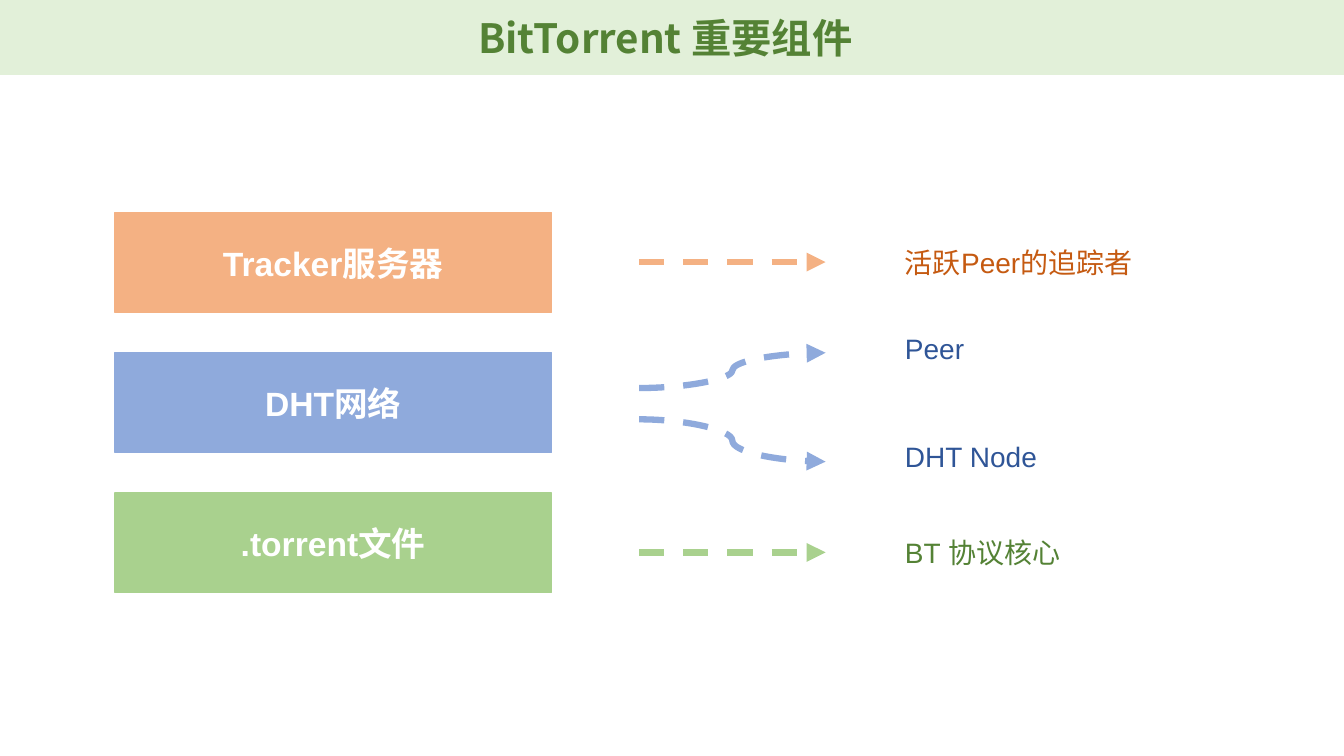
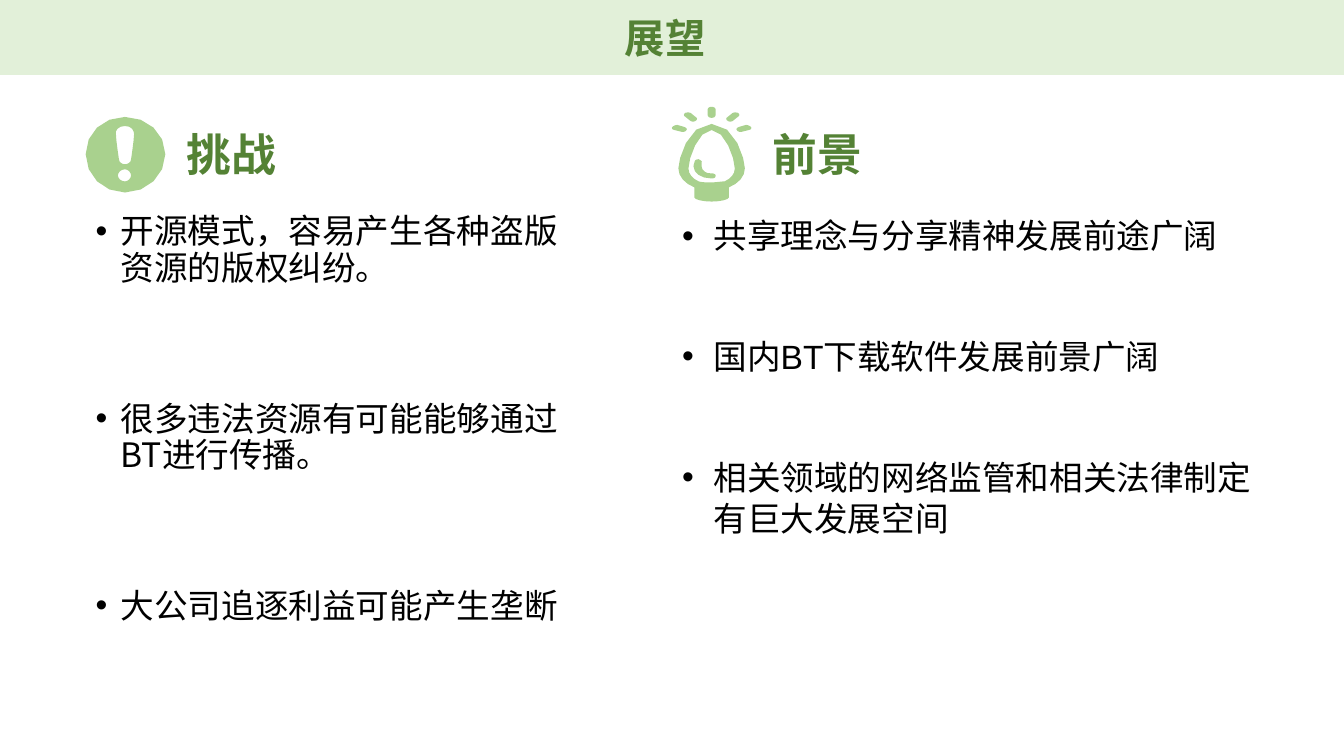
from dataclasses import dataclass

import pptx
import pptx.dml.color
import pptx.enum.dml
import pptx.enum.shapes
import pptx.enum.text
import pptx.oxml.ns
import pptx.presentation
import pptx.shapes.autoshape
import pptx.shapes.connector
import pptx.slide
import pptx.text.text
import pptx.util
from lxml import etree

RGB = pptx.dml.color.RGBColor
Inches = pptx.util.Inches
Pt = pptx.util.Pt
SHAPE = pptx.enum.shapes.MSO_SHAPE
CONNECTOR = pptx.enum.shapes.MSO_CONNECTOR
ALIGN = pptx.enum.text.PP_ALIGN
ANCHOR = pptx.enum.text.MSO_ANCHOR
qn = pptx.oxml.ns.qn

PALE_GREEN = RGB(0xE2, 0xF0, 0xD9)
GREEN = RGB(0xA9, 0xD1, 0x8E)
DARK_GREEN = RGB(0x54, 0x82, 0x35)
BLUE = RGB(0x8F, 0xAA, 0xDC)
DARK_BLUE = RGB(0x2F, 0x55, 0x97)
ORANGE = RGB(0xF4, 0xB1, 0x83)
DARK_ORANGE = RGB(0xC5, 0x5A, 0x11)
WHITE = RGB(0xFF, 0xFF, 0xFF)
BLACK = RGB(0, 0, 0)

LATIN = "Arial"
CHINESE = "Noto Sans CJK SC"

SLIDE_W, SLIDE_H = 40 / 3, 7.5
MARGIN = 0.85
BAND_H, BAND_EDGE_Y = 0.72, 0.71

# Component rows: box column, arrow column, label column
BOX_X, BOX_W, BOX_H = 1.14, 4.33, 0.99
FIRST_BOX_Y, ROW_PITCH = 2.11, 1.39
ARROW_X, ARROW_END_X = 6.34, 8.19
LABEL_X, LABEL_W, LABEL_H = 8.88, 3.9, 0.44

# Outlook columns
HEADING_Y, HEADING_DX = 1.2, 0.9
POINTS_Y = 2.08
ICON_UNIT = 0.01
CURVE_STEPS = 4

Point = tuple[float, float]
Segment = list[Point]  # one point: a line; three points: a cubic curve


@dataclass(frozen=True)
class Role:
    text: str
    arrow_start: float
    arrow_end: float
    label_middle: float


@dataclass(frozen=True)
class Component:
    name: str
    fill: RGB
    label_color: RGB
    roles: list[Role]


@dataclass(frozen=True)
class Outline:
    start: Point
    segments: list[Segment]


@dataclass(frozen=True)
class Outlook:
    heading: str
    left: float
    width: float
    font: str
    indent: float
    line_pitch: float
    gap: float
    icon_top: float
    icon: list[Outline]
    points: list[str]


def mirror(outline: Outline, axis: float) -> Outline:
    """Reflect an outline in a vertical axis."""
    x, y = outline.start
    return Outline((2 * axis - x, y), [
        [(2 * axis - px, py) for px, py in segment] for segment in outline.segments])


COMPONENTS = [
    Component("Tracker服务器", ORANGE, DARK_ORANGE,
              [Role("活跃Peer的追踪者", 2.6, 2.6, 2.6)]),
    Component("DHT网络", BLUE, DARK_BLUE,
              [Role("Peer", 3.85, 3.5, 3.46), Role("DHT Node", 4.16, 4.58, 4.53)]),
    Component(".torrent文件", GREEN, DARK_GREEN,
              [Role("BT 协议核心", 5.48, 5.48, 5.48)]),
]

WARNING_ICON = [
    Outline((39, 0), [
        [(17, 0), (0, 16), (0, 37)], [(0, 58), (17, 75), (39, 75)],
        [(61, 75), (79, 58), (79, 37)], [(79, 16), (61, 0), (39, 0)],
    ]),
    Outline((39, 64), [
        [(35, 64), (32, 61), (32, 58)], [(32, 55), (35, 52), (39, 52)],
        [(42, 52), (45, 55), (45, 58)], [(45, 61), (42, 64), (39, 64)],
    ]),
    Outline((48, 17), [
        [(48, 23), (45, 42), (45, 42)], [(45, 45), (42, 47), (39, 47)],
        [(36, 47), (33, 45), (33, 42)], [(33, 42), (30, 23), (30, 17)],
        [(29, 14), (32, 9), (39, 9)], [(46, 9), (48, 14), (48, 17)],
    ]),
]

BULB = [
    Outline((39, 17), [
        [(63, 17), (72, 53), (72, 61)], [(72, 69), (66, 76), (56, 80)],
        [(56, 90)], [(56, 92), (48, 94), (39, 94)],
        [(30, 94), (22, 92), (22, 90)], [(22, 80)],
        [(12, 76), (6, 69), (6, 61)], [(6, 53), (15, 17), (39, 17)],
    ]),
    Outline((39, 23), [
        [(26, 23), (16, 51), (16, 61)], [(16, 67), (20, 71), (26, 74)],
        [(29, 75), (34, 75), (39, 75)], [(43, 75), (49, 74), (52, 74)],
        [(58, 71), (62, 67), (62, 61)], [(62, 51), (52, 23), (39, 23)],
    ]),
    Outline((26, 52), [
        [(28, 53), (30, 54), (29, 55)], [(29, 57), (29, 58), (29, 59)],
        [(29, 63), (34, 67), (39, 66)], [(41, 66), (43, 67), (43, 68)],
        [(43, 70), (42, 71), (40, 71)], [(39, 71), (39, 71), (38, 71)],
        [(29, 71), (21, 66), (21, 59)], [(21, 57), (22, 56), (22, 55)],
        [(22, 53), (24, 52), (26, 52)],
    ]),
]
BULB_AXIS = 39
TOP_RAY = Outline((39, 0), [
    [(41, 0), (43, 1), (43, 3)], [(43, 8)], [(43, 10), (41, 11), (39, 11)],
    [(37, 11), (35, 10), (35, 8)], [(35, 3)], [(35, 1), (37, 0), (39, 0)],
])
RIGHT_RAYS = [
    Outline((65, 6), [
        [(67, 7), (67, 9), (65, 10)], [(60, 14)], [(59, 15), (56, 15), (55, 14)],
        [(53, 13), (53, 11), (55, 10)], [(60, 6)], [(61, 5.5), (64, 5.5), (65, 6)],
    ]),
    Outline((73, 18), [
        [(75, 18), (77, 19), (78, 20)], [(79, 21), (78, 23), (76, 23)], [(68, 25)],
        [(66, 25), (64, 24), (64, 23)], [(63, 22), (64, 21), (66, 20)], [(73, 18)],
    ]),
]
LEFT_RAYS = [mirror(ray, BULB_AXIS) for ray in RIGHT_RAYS]

OUTLOOKS = [
    Outlook("挑战", MARGIN, 4.81, CHINESE, 0.25, 25.8, 82, 1.16, WARNING_ICON, [
        "开源模式，容易产生各种盗版资源的版权纠纷。",
        "很多违法资源有可能能够通过BT进行传播。",
        "大公司追逐利益可能产生垄断",
    ]),
    Outlook("前景", 6.67, 5.93, LATIN, 0.31, 29.3, 57, 1.06,
            [*BULB, TOP_RAY, *RIGHT_RAYS, *LEFT_RAYS], [
                "共享理念与分享精神发展前途广阔",
                "国内BT下载软件发展前景广阔",
                "相关领域的网络监管和相关法律制定有巨大发展空间",
            ]),
]


def paint(shape: pptx.shapes.autoshape.Shape, color: RGB) -> None:
    shape.shadow.inherit = False
    shape.fill.solid()
    shape.fill.fore_color.rgb = color
    shape.line.fill.background()


def add_block(slide: pptx.slide.Slide, left: float, top: float, width: float,
              height: float, color: RGB) -> pptx.shapes.autoshape.Shape:
    block = slide.shapes.add_shape(
        SHAPE.RECTANGLE, Inches(left), Inches(top), Inches(width), Inches(height))
    paint(block, color)
    return block


def add_line(slide: pptx.slide.Slide, start: Point, end: Point, color: RGB,
             kind: CONNECTOR = CONNECTOR.STRAIGHT) -> pptx.shapes.connector.Connector:
    line = slide.shapes.add_connector(kind, *map(Inches, (*start, *end)))
    line.line.color.rgb = color
    line.line.width = Pt(4.5)
    etree.SubElement(line._element.spPr, qn("a:effectLst"))
    return line


def set_font(paragraph: pptx.text.text._Paragraph, size: float, color: RGB,
             bold: bool = False, latin: str = LATIN) -> None:
    font = paragraph.font
    font.size, font.bold, font.name = Pt(size), bold, latin
    font.color.rgb = color
    defaults = paragraph._p.get_or_add_pPr().find(qn("a:defRPr"))
    etree.SubElement(defaults, qn("a:ea"), typeface=CHINESE)


def add_text(slide: pptx.slide.Slide, text: str, left: float, top: float,
             width: float, height: float, size: float, color: RGB,
             bold: bool = False, latin: str = LATIN) -> pptx.text.text._Paragraph:
    frame = slide.shapes.add_textbox(
        Inches(left), Inches(top), Inches(width), Inches(height)).text_frame
    frame.word_wrap = True
    frame.vertical_anchor = ANCHOR.MIDDLE
    paragraph = frame.paragraphs[0]
    paragraph.text = text
    set_font(paragraph, size, color, bold, latin)
    return paragraph


def add_titled_slide(deck: pptx.presentation.Presentation, title: str) -> pptx.slide.Slide:
    slide = deck.slides.add_slide(deck.slide_layouts[6])
    add_block(slide, 0, 0, SLIDE_W, BAND_H, PALE_GREEN)
    add_line(slide, (0, BAND_EDGE_Y), (SLIDE_W, BAND_EDGE_Y), PALE_GREEN)
    heading = add_text(slide, title, MARGIN, 0.11, 11.5, 0.58, 28.8, DARK_GREEN,
                       True, CHINESE)
    heading.alignment = ALIGN.CENTER
    heading.line_spacing = 0.9
    return slide


def add_arrow(slide: pptx.slide.Slide, role: Role, color: RGB) -> None:
    level = role.arrow_start == role.arrow_end
    arrow = add_line(slide, (ARROW_X, role.arrow_start), (ARROW_END_X, role.arrow_end),
                     color, CONNECTOR.STRAIGHT if level else CONNECTOR.CURVE)
    arrow.line.dash_style = pptx.enum.dml.MSO_LINE.DASH
    outline = arrow._element.spPr.find(qn("a:ln"))
    etree.SubElement(outline, qn("a:tailEnd"), type="triangle")


def add_component(slide: pptx.slide.Slide, row: int, component: Component) -> None:
    box = add_block(slide, BOX_X, FIRST_BOX_Y + row * ROW_PITCH, BOX_W, BOX_H,
                    component.fill)
    box.line.color.rgb = component.fill
    box.line.width = Pt(1)
    box.text_frame.vertical_anchor = ANCHOR.MIDDLE
    name = box.text_frame.paragraphs[0]
    name.text, name.alignment = component.name, ALIGN.CENTER
    set_font(name, 24, WHITE, bold=True)
    for role in component.roles:
        add_arrow(slide, role, component.fill)
        add_text(slide, role.text, LABEL_X, role.label_middle - LABEL_H / 2,
                 LABEL_W, LABEL_H, 20, component.label_color)


def flatten(outline: Outline) -> list[Point]:
    """Turn the lines and cubic curves of an outline into a row of points."""
    points = [outline.start]
    for segment in outline.segments:
        if len(segment) == 1:
            points += segment
            continue
        corners = [points[-1], *segment]
        for step in range(1, CURVE_STEPS + 1):
            t = step / CURVE_STEPS
            weights = ((1 - t) ** 3, 3 * t * (1 - t) ** 2, 3 * t * t * (1 - t), t ** 3)
            points.append((sum(w * c[0] for w, c in zip(weights, corners)),
                           sum(w * c[1] for w, c in zip(weights, corners))))
    return points


def add_icon(slide: pptx.slide.Slide, outlines: list[Outline],
             left: float, top: float) -> None:
    """Draw all outlines as one shape; an outline inside another is a hole."""
    contours = [[(Inches(left + x * ICON_UNIT), Inches(top + y * ICON_UNIT))
                 for x, y in flatten(outline)] for outline in outlines]
    builder = slide.shapes.build_freeform(*contours[0][0])
    for contour in contours:
        if contour is not contours[0]:
            builder.move_to(*contour[0])
        builder.add_line_segments(contour[1:], close=True)
    paint(builder.convert_to_shape(), GREEN)


def add_outlook(slide: pptx.slide.Slide, outlook: Outlook) -> None:
    frame = slide.shapes.add_textbox(
        Inches(outlook.left), Inches(POINTS_Y),
        Inches(outlook.width), Inches(0.6 * SLIDE_H)).text_frame
    frame.word_wrap = True
    for index, point in enumerate(outlook.points):
        paragraph = frame.add_paragraph() if index else frame.paragraphs[0]
        paragraph.text = point
        paragraph.line_spacing = Pt(outlook.line_pitch)
        paragraph.space_before = Pt(outlook.gap if index else 0)
        set_font(paragraph, 24, BLACK, latin=outlook.font)
        properties = paragraph._p.get_or_add_pPr()
        properties.set("marL", str(Inches(outlook.indent)))
        properties.set("indent", str(-Inches(outlook.indent)))
        defaults = properties.find(qn("a:defRPr"))
        defaults.addprevious(etree.Element(qn("a:buFont"), typeface=LATIN))
        defaults.addprevious(etree.Element(qn("a:buChar"), char="•"))
    add_icon(slide, outlook.icon, outlook.left, outlook.icon_top)
    add_text(slide, outlook.heading, outlook.left + HEADING_DX, HEADING_Y,
             1.3, 0.64, 32, DARK_GREEN, bold=True)


def main() -> None:
    deck = pptx.Presentation()
    deck.slide_width, deck.slide_height = Inches(SLIDE_W), Inches(SLIDE_H)
    parts = add_titled_slide(deck, "BitTorrent 重要组件")
    for row, component in enumerate(COMPONENTS):
        add_component(parts, row, component)
    future = add_titled_slide(deck, "展望")
    for outlook in OUTLOOKS:
        add_outlook(future, outlook)
    deck.save("out.pptx")


if __name__ == "__main__":
    main()
